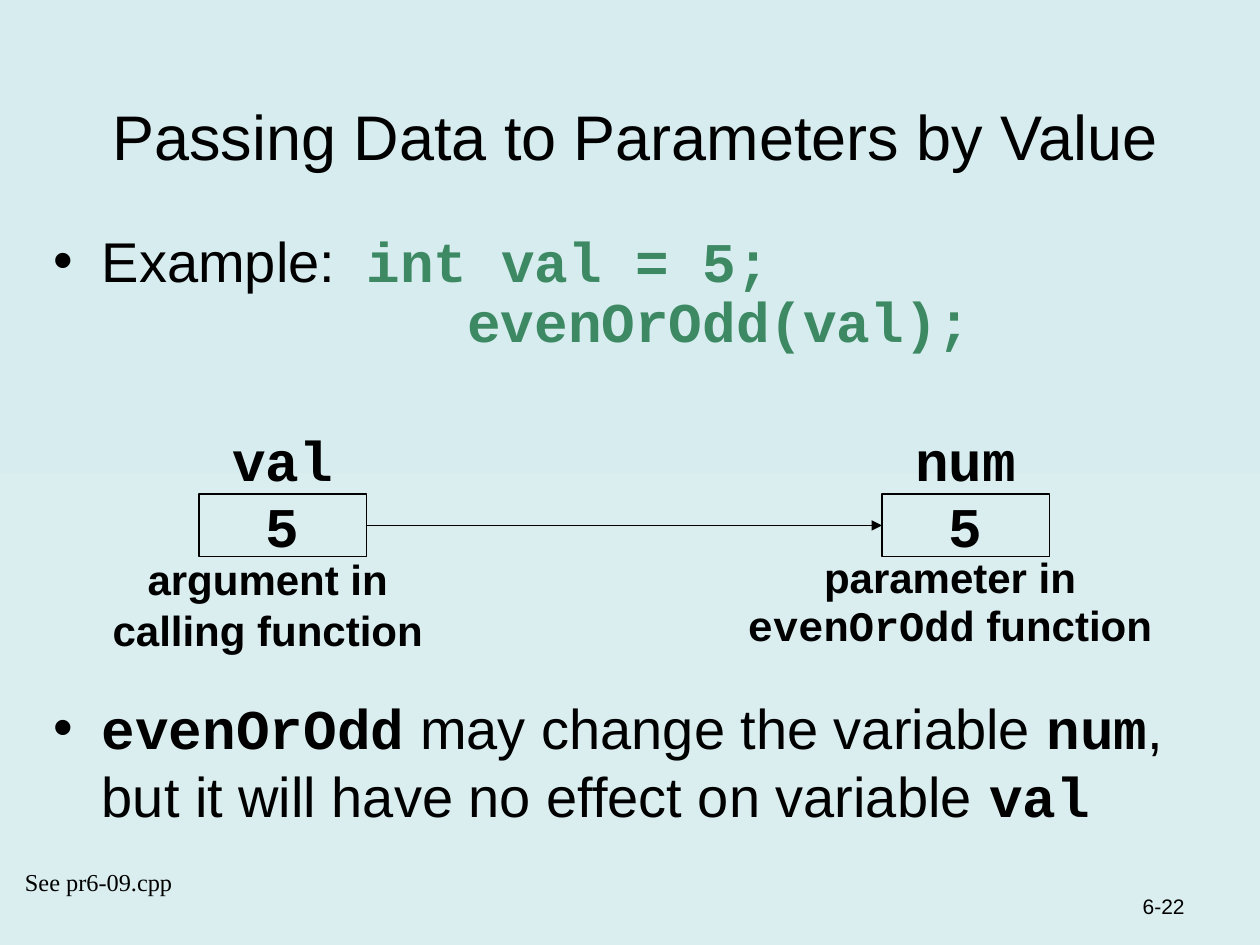
from lxml import etree
from pptx import Presentation
from pptx.dml.color import RGBColor
from pptx.enum.shapes import MSO_CONNECTOR, MSO_SHAPE
from pptx.enum.text import MSO_ANCHOR, PP_ALIGN
from pptx.oxml.ns import qn
from pptx.util import Inches, Pt

BLACK = RGBColor(0x00, 0x00, 0x00)
GREEN = RGBColor(0x3D, 0x89, 0x63)
SKY_LOW = RGBColor(0xDA, 0xED, 0xEF)
SKY_HIGH = RGBColor(0xD6, 0xEC, 0xEE)
LEFT, CENTER, RIGHT = PP_ALIGN.LEFT, PP_ALIGN.CENTER, PP_ALIGN.RIGHT
TOP, MIDDLE, BOTTOM = MSO_ANCHOR.TOP, MSO_ANCHOR.MIDDLE, MSO_ANCHOR.BOTTOM
SANS, CODE, SERIF = "Arial", "Courier New", "Times New Roman"

deck = Presentation()
deck.slide_width, deck.slide_height = Inches(10), Inches(7.5)
page = deck.slides.add_slide(deck.slide_layouts[6])


def set_frame(box, anchor=TOP, right=0.1, wrap=True):
    frame = box.text_frame
    frame.word_wrap = wrap
    frame.vertical_anchor = anchor
    frame.margin_left, frame.margin_right = Inches(0.1), Inches(right)
    frame.margin_top = frame.margin_bottom = Inches(0.05)
    return frame


def add_runs(para, runs, size, align=LEFT):
    para.alignment = align
    for text, font, bold, color in runs:
        span = para.add_run()
        span.text = text
        span.font.name, span.font.size = font, Pt(size)
        span.font.bold = bold
        span.font.color.rgb = color


# Background
fill = page.background.fill
fill.gradient()
fill.gradient_angle = 90
for stop, color in zip(fill.gradient_stops, (SKY_LOW, SKY_HIGH)):
    stop.color.rgb = color

# Title, page number and file reference
for text, place, anchor, align, font, size, wrap in (
    ("Passing Data to Parameters by Value", (0.33, 0.33, 9.42, 1.09), BOTTOM, CENTER, SANS, 36, True),
    ("6-22", (7.42, 6.84, 2.08, 0.5), BOTTOM, RIGHT, SANS, 12, True),
    ("See pr6-09.cpp", (0.1, 6.61, 1.37, 0.56), TOP, LEFT, SERIF, 24, False),
):
    box = page.shapes.add_textbox(*map(Inches, place))
    para = set_frame(box, anchor, wrap=wrap).paragraphs[0]
    add_runs(para, [(text, font, False, BLACK)], size, align)
# The file reference is set as a subscript
para.runs[0].font._element.set("baseline", "-25000")

# Body: bullet, code line, bullet below the diagram
body_box = page.shapes.add_textbox(Inches(0.33), Inches(1.75), Inches(9.07), Inches(5))
body = set_frame(body_box, right=0)
lines = (
    (0.38, -0.38, 0, [("Example:  ", SANS, False, BLACK), ("int val = 5;", CODE, True, GREEN)]),
    (3.28, 0, 0, [("evenOrOdd(val);", CODE, True, GREEN)]),
    (0.38, -0.38, 194, [
        ("evenOrOdd", CODE, True, BLACK),
        (" may change the variable ", SANS, False, BLACK),
        ("num", CODE, True, BLACK),
        (", but it will have no effect on variable ", SANS, False, BLACK),
        ("val", CODE, True, BLACK),
    ]),
)
for index, (margin, indent, before, runs) in enumerate(lines):
    para = body.paragraphs[0] if index == 0 else body.add_paragraph()
    props = para._p.get_or_add_pPr()
    props.set("marL", str(Inches(margin)))
    props.set("indent", str(Inches(indent)))
    if indent:
        etree.SubElement(props, qn("a:buFont")).set("typeface", SANS)
        etree.SubElement(props, qn("a:buChar")).set("char", "•")
    else:
        para.line_spacing = 0.9
    if before:
        para.space_before = Pt(before)
    add_runs(para, runs, 32)

# Variables: name, value box and caption
variables = (
    ("val", 1.58, (0.75, 4.42, 2.75, 0.83), 0.8,
     ([("argument in", SANS, True, BLACK)],
      [("calling function", SANS, True, BLACK)])),
    ("num", 7, (5.75, 4.42, 3.58, 0.79), 0.75,
     ([("parameter in", SANS, True, BLACK)],
      [("evenOrOdd", CODE, True, BLACK), (" function", SANS, True, BLACK)])),
)
value_boxes = []
for name, left, caption_place, spacing, caption in variables:
    name_box = page.shapes.add_textbox(Inches(left), Inches(3.33), Inches(1.33), Inches(0.64))
    para = set_frame(name_box).paragraphs[0]
    add_runs(para, [(name, CODE, True, BLACK)], 32, CENTER)

    value_box = page.shapes.add_shape(MSO_SHAPE.RECTANGLE, Inches(left), Inches(3.92),
                                      Inches(1.33), Inches(0.5))
    value_box.shadow.inherit = False
    value_box.fill.background()
    value_box.line.color.rgb, value_box.line.width = BLACK, Pt(0.75)
    para = set_frame(value_box, MIDDLE, wrap=False).paragraphs[0]
    add_runs(para, [("5", CODE, True, BLACK)], 32, CENTER)
    value_boxes.append(value_box)

    caption_box = page.shapes.add_textbox(*map(Inches, caption_place))
    frame = set_frame(caption_box)
    for index, runs in enumerate(caption):
        para = frame.paragraphs[0] if index == 0 else frame.add_paragraph()
        para.line_spacing = spacing
        if index:
            para.space_before = Pt(6)
        add_runs(para, runs, 24, CENTER)

# Arrow from argument to parameter
arrow = page.shapes.add_connector(MSO_CONNECTOR.STRAIGHT, Inches(2.91), Inches(4.17),
                                  Inches(7), Inches(4.17))
arrow.begin_connect(value_boxes[0], 3)
arrow.end_connect(value_boxes[1], 1)
arrow.line.color.rgb, arrow.line.width = BLACK, Pt(0.75)
etree.SubElement(arrow.line._get_or_add_ln(), qn("a:tailEnd")).set("type", "triangle")
etree.SubElement(arrow._element.spPr, qn("a:effectLst"))

deck.save("out.pptx")
